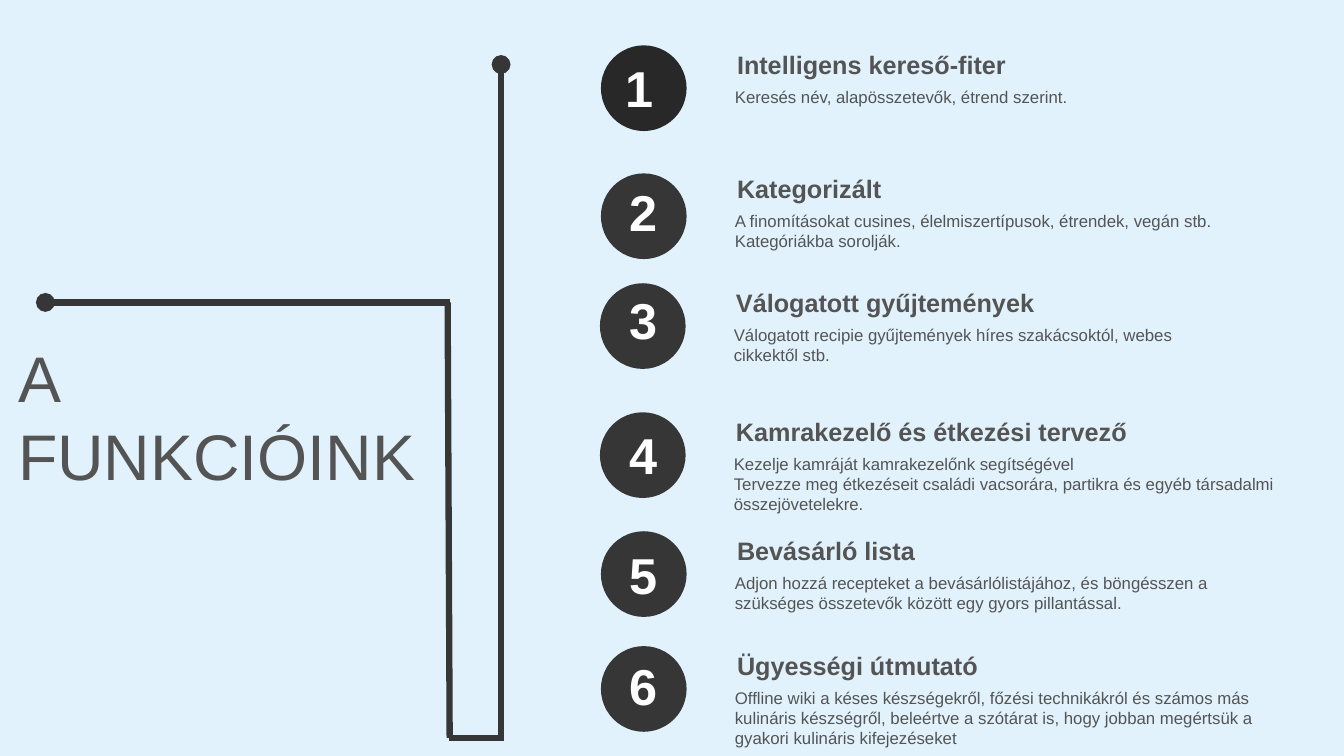
from pptx import Presentation
from pptx.util import Pt
from pptx.dml.color import RGBColor
from pptx.enum.shapes import MSO_SHAPE as Shape, MSO_CONNECTOR as Link
from pptx.enum.text import PP_ALIGN as Align, MSO_ANCHOR as Anchor
from pptx.oxml.ns import qn
from lxml.etree import SubElement as add_el

PX = 9144  # EMU per px, 100 px to the inch
INK, DARK, GREY, WHITE, SKY = "363636", "282828", "545454", "FFFFFF", "E1F2FC"
TITLE = "A FUNKCIÓINK"

# heading, details, left, heading top, details width, disc top, disc colour, digit left, digit top
ITEMS = [
    ("Intelligens kereső-fiter",
     "Keresés név, alapösszetevők, étrend szerint.",
     719, 44, 493, 45, DARK, 582, 52),
    ("Kategorizált",
     "A finomításokat cusines, élelmiszertípusok, étrendek, vegán stb. Kategóriákba sorolják.",
     719, 167, 583, 172, INK, 586, 175),
    ("Válogatott gyűjtemények",
     "Válogatott recipie gyűjtemények híres szakácsoktól, webes cikkektől stb.",
     718, 280, 493, 281, INK, 586, 282),
    ("Kamrakezelő és étkezési tervező",
     "Kezelje kamráját kamrakezelőnk segítségével\n"
     "Tervezze meg étkezéseit családi vacsorára, partikra és egyéb társadalmi összejövetelekre.",
     718, 408, 604, 409, INK, 586, 416),
    ("Bevásárló lista",
     "Adjon hozzá recepteket a bevásárlólistájához, és böngésszen a "
     "szükséges összetevők között egy gyors pillantással.",
     719, 526, 493, 527, INK, 586, 535),
    ("Ügyességi útmutató",
     "Offline wiki a késes készségekről, főzési technikákról és számos más kulináris készségről, "
     "beleértve a szótárat is, hogy jobban megértsük a gyakori kulináris kifejezéseket",
     719, 640, 590, 641, INK, 586, 645),
]

# start, end, which end has a dot
LINES = [
    ((45, 300), (446, 300), "headEnd"),
    ((446, 732), (444, 300), None),
    ((497, 735), (497, 64), "tailEnd"),
    ((445, 732), (500, 732), None),
]


def px(*nums):
    return [n * PX for n in nums]


def rgb(code):
    return RGBColor.from_string(code)


def write(box, text, size, color=GREY, bold=False, align=Align.LEFT, anchor=Anchor.TOP, side=10):
    frame = box.text_frame
    frame.text = text
    frame.word_wrap = True
    frame.vertical_anchor = anchor
    frame.margin_left = frame.margin_right = side * PX
    frame.margin_top = frame.margin_bottom = 5 * PX
    for para in frame.paragraphs:
        para.alignment = align
        font = para.font
        font.name, font.size, font.bold = "Arial", Pt(size), bold
        font.color.rgb = rgb(color)


def label(x, y, w, h, text, size, **form):
    write(slide.shapes.add_textbox(*px(x, y, w, h)), text, size, **form)


def line(start, end, dot):
    link = slide.shapes.add_connector(Link.STRAIGHT, *px(*start, *end))
    link.line.color.rgb = rgb(INK)
    link.line.width = Pt(4.5)
    if dot:
        add_el(link.line._get_or_add_ln(), qn("a:" + dot), type="oval")
    add_el(link._element.spPr, qn("a:effectLst"))


def disc(x, y, size, color):
    dot = slide.shapes.add_shape(Shape.OVAL, *px(x, y, size, size))
    dot.shadow.inherit = False
    dot.fill.solid()
    dot.fill.fore_color.rgb = rgb(color)
    dot.line.fill.background()


deck = Presentation()
deck.slide_width, deck.slide_height = px(1333, 750)
slide = deck.slides.add_slide(deck.slide_layouts[5])
slide.background.fill.solid()
slide.background.fill.fore_color.rgb = rgb(SKY)

# Title
title = slide.shapes.title
title.left, title.top, title.width, title.height = px(8, 330, 440, 165)
write(title, TITLE, 46, anchor=Anchor.MIDDLE)

# Angled frame line
for start, end, dot in LINES:
    line(start, end, dot)

# Numbered features
for num, (head, info, x, top, wide, disc_y, color, num_x, num_y) in enumerate(ITEMS, 1):
    label(x, top + 37, wide, 20 * (info.count("\n") + 1) + 10, info, 12)
    label(x, top, 493, 40, head, 18, bold=True, side=12)
    disc(x - 123, disc_y, 85, color)
    label(num_x, num_y, 105, 71, str(num), 36, color=WHITE, bold=True, align=Align.CENTER, side=12)

deck.save("out.pptx")
